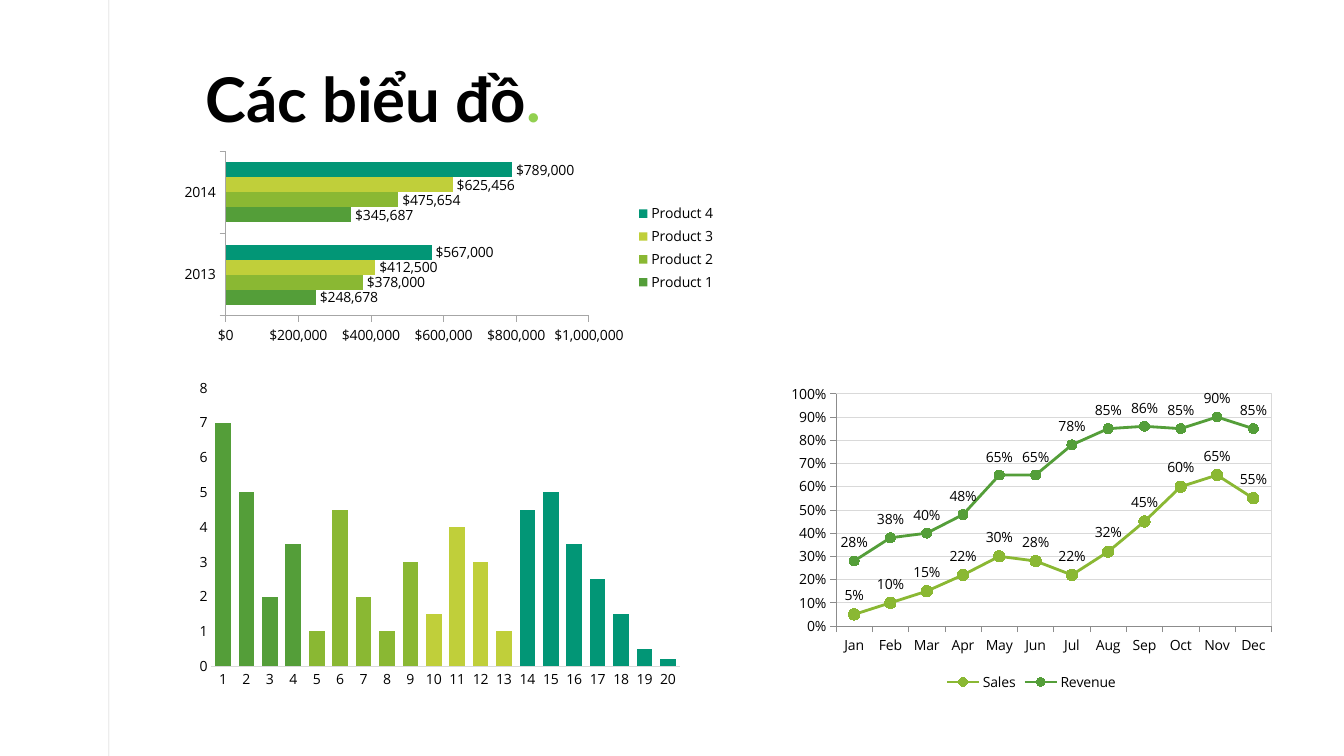
from lxml import etree
from pptx import Presentation
from pptx.chart.data import CategoryChartData
from pptx.dml.color import RGBColor
from pptx.enum import chart as charts, shapes, text
from pptx.oxml import parse_xml
from pptx.oxml.ns import nsdecls, qn
from pptx.util import Inches, Pt

GREEN, LIME, YELLOW, TEAL = "549E39", "8AB833", "C0CF3A", "029676"


def style(target, size=None, font=None, color=None, bold=None, width=None):
    """Format a font, or a line when a width is given."""
    if width is not None:
        target.width = Pt(width)
        target.fill.solid()
        target.fill.fore_color.rgb = RGBColor.from_string(color)
        return
    target.size, target.name, target.bold = Pt(size), font, bold
    target.color.rgb = RGBColor.from_string(color)


def add_chart(kind, box, categories, series, top, step, number_format,
              axis_color, axis_width, tick, legend=None):
    data = CategoryChartData(number_format=number_format)
    data.categories = categories
    for name, values in series:
        data.add_series(name, values)
    chart = slide.shapes.add_chart(kind, *map(Inches, box), data).chart
    chart.has_title = False
    style(chart.font, 10, "Open Sans", "000000")
    for axis in (chart.category_axis, chart.value_axis):
        axis.major_tick_mark = tick
        axis.minor_tick_mark = charts.XL_TICK_MARK.NONE
        axis.has_major_gridlines = False
        style(axis.format.line, color=axis_color, width=axis_width)
        style(axis.tick_labels.font, 10, "Open Sans", "000000")
    value_axis = chart.value_axis
    value_axis.minimum_scale, value_axis.maximum_scale = 0, top
    value_axis.major_unit = step
    value_axis.tick_labels.number_format = number_format
    value_axis.tick_labels.number_format_is_linked = False
    chart.has_legend = legend is not None
    if legend is not None:
        chart.legend.position = legend
        chart.legend.include_in_layout = False
        style(chart.legend.font, 10, "Open Sans", "000000")
    chart.plots[0].vary_by_categories = False
    if legend is not None:
        for plotted in chart.plots[0].series:
            labels = plotted.data_labels
            labels.show_value = True
            labels.number_format = number_format
            labels.number_format_is_linked = False
            style(labels.font, 10, "Open Sans", "000000")
    return chart


deck = Presentation()
deck.slide_width, deck.slide_height = Inches(13.33), Inches(7.5)
slide = deck.slides.add_slide(deck.slide_layouts[6])

# Margin rule
margin = slide.shapes.add_connector(
    shapes.MSO_CONNECTOR.STRAIGHT, Inches(1.08), Inches(0), Inches(1.08), Inches(7.5))
style(margin.line, color="000000", width=0.5)
rule_color = margin.line._ln.find(".//" + qn("a:srgbClr"))
etree.SubElement(rule_color, qn("a:alpha")).set("val", "20000")
etree.SubElement(margin._element.spPr, qn("a:effectLst"))

# Monthly-style columns, coloured in four runs
columns = add_chart(
    charts.XL_CHART_TYPE.COLUMN_CLUSTERED, (1.88, 3.69, 4.96, 3.21),
    [str(n) for n in range(1, 21)],
    [("Series 1", [7, 5, 2, 3.5, 1, 4.5, 2, 1, 3, 1.5,
                   4, 3, 1, 4.5, 5, 3.5, 2.5, 1.5, 0.5, 0.2])],
    8, 1, "General", "D9D9D9", 0.75, charts.XL_TICK_MARK.NONE)
columns.value_axis.format.line.fill.background()
columns.plots[0].gap_width, columns.plots[0].overlap = 50, -27
column_colors = [GREEN] * 4 + [LIME] * 5 + [YELLOW] * 4 + [TEAL] * 7
for index, color in enumerate(column_colors):
    fill = columns.plots[0].series[0].points[index].format.fill
    fill.solid()
    fill.fore_color.rgb = RGBColor.from_string(color)

# Title
title = slide.shapes.add_textbox(
    Inches(2.04), Inches(0.54), Inches(4.62), Inches(1.77)).text_frame
title.word_wrap = True
title.vertical_anchor = text.MSO_ANCHOR.TOP
title.margin_left = title.margin_right = title.margin_bottom = 0
title.margin_top = Inches(0.21)
heading = title.paragraphs[0]
heading.line_spacing = 0.8
for words, color in (("Các biểu đồ", "000000"), (".", "92D050")):
    run = heading.add_run()
    run.text = words
    style(run.font, 44, "Lato", color, bold=True)

# Product bars
products = add_chart(
    charts.XL_CHART_TYPE.BAR_CLUSTERED, (1.72, 1.46, 5.48, 2), ["2013", "2014"],
    [("Product 1", [248678, 345687]), ("Product 2", [378000, 475654]),
     ("Product 3", [412500, 625456]), ("Product 4", [567000, 789000])],
    1000000, 200000, '"$"#,##0', "A6A6A6", 0.5, charts.XL_TICK_MARK.OUTSIDE,
    charts.XL_LEGEND_POSITION.RIGHT)
products.plots[0].gap_width = 150
for product, color in zip(products.plots[0].series, (GREEN, LIME, YELLOW, TEAL)):
    product.format.fill.solid()
    product.format.fill.fore_color.rgb = RGBColor.from_string(color)
    product.data_labels.position = charts.XL_LABEL_POSITION.OUTSIDE_END

# Sales and revenue lines
trends = add_chart(
    charts.XL_CHART_TYPE.LINE_MARKERS, (7.75, 3.75, 4.96, 3.15),
    "Jan Feb Mar Apr May Jun Jul Aug Sep Oct Nov Dec".split(),
    [("Sales", [0.05, 0.1, 0.15, 0.22, 0.3, 0.28,
                0.22, 0.32, 0.45, 0.6, 0.65, 0.55]),
     ("Revenue", [0.28, 0.38, 0.4, 0.48, 0.65, 0.65,
                  0.78, 0.85, 0.86, 0.85, 0.9, 0.85])],
    1, 0.1, "0%", "8C8C8C", 0.5, charts.XL_TICK_MARK.OUTSIDE,
    charts.XL_LEGEND_POSITION.BOTTOM)
trends.value_axis.has_major_gridlines = True
style(trends.value_axis.major_gridlines.format.line, color="D9D9D9", width=0.5)
for trend, color, size in zip(trends.plots[0].series, (LIME, GREEN), (8, 7)):
    trend.smooth = False
    style(trend.format.line, color=color, width=2)
    trend.marker.style, trend.marker.size = charts.XL_MARKER_STYLE.CIRCLE, size
    trend.marker.format.fill.solid()
    trend.marker.format.fill.fore_color.rgb = RGBColor.from_string(color)
    style(trend.marker.format.line, color=color, width=0.5)
    trend.data_labels.position = charts.XL_LABEL_POSITION.ABOVE
trends._chartSpace.chart.plotArea.append(parse_xml(
    f'<c:spPr {nsdecls("c", "a")}><a:noFill/><a:ln w="6350"><a:solidFill>'
    '<a:srgbClr val="D9D9D9"/></a:solidFill></a:ln></c:spPr>'))

deck.save("out.pptx")
